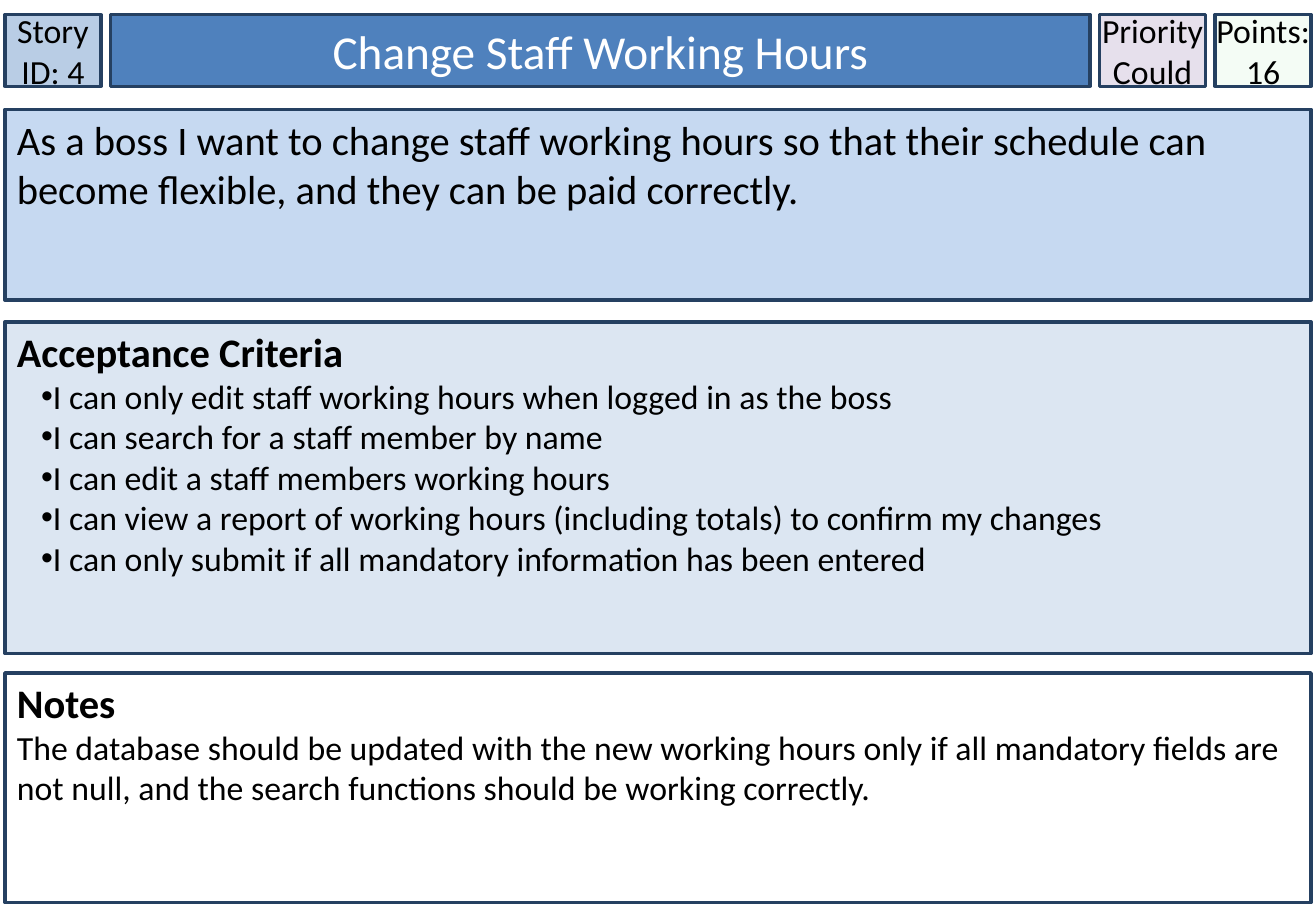
from dataclasses import dataclass
from itertools import accumulate

from lxml.etree import SubElement
from pptx import Presentation
from pptx.dml.color import RGBColor
from pptx.enum.shapes import MSO_SHAPE
from pptx.enum.text import MSO_ANCHOR, MSO_AUTO_SIZE, PP_ALIGN
from pptx.oxml.ns import qn
from pptx.util import Inches, Pt

SLIDE_WIDTH, SLIDE_HEIGHT = 10.83, 7.5
MARGIN, COLUMN_GAP = 0.04, 0.08
FULL_WIDTH = SLIDE_WIDTH - 2 * MARGIN
FONT = "Calibri"
COLORS = {
    "border": "254061", "ink": "000000", "title_ink": "FFFFFF",
    "story_id": "B9CDE5", "title": "4F81BD", "priority": "E6E0EC",
    "points": "CCF0CD", "story": "C6D9F1", "criteria": "DCE6F2",
    "notes": "FFFFFF",
}

ID_WIDTH, PRIORITY_WIDTH, POINTS_WIDTH = 0.79, 0.87, 0.79
TITLE_WIDTH = FULL_WIDTH - ID_WIDTH - PRIORITY_WIDTH - POINTS_WIDTH - 3 * COLUMN_GAP
HEADER_WIDTHS = [ID_WIDTH, TITLE_WIDTH, PRIORITY_WIDTH, POINTS_WIDTH]
HEADER_LEFTS = list(accumulate(
    HEADER_WIDTHS[:-1], lambda left, width: left + width + COLUMN_GAP, initial=MARGIN))
HEADER_CELLS = list(zip(HEADER_LEFTS, HEADER_WIDTHS))
FULL_CELL = (MARGIN, FULL_WIDTH)

HEADER_ROW = (0.12, 0.59)
STORY_ROW = (0.9, 1.57)
CRITERIA_ROW = (2.65, 2.73)
NOTES_ROW = (5.54, 1.89)


@dataclass
class Line:
    text: str
    size: int = 20
    bold: bool = False
    bullet: bool = False


@dataclass
class Panel:
    color: str
    column: tuple[float, float]
    row: tuple[float, float]
    lines: list[Line]
    header: bool = False
    side_inset: float = 0.1
    top_inset: float = 0.05
    ink: str = "ink"
    wrap: bool = True
    opacity: int = 100


def rgb(name: str) -> RGBColor:
    return RGBColor.from_string(COLORS[name])


def add_bullet(paragraph) -> None:
    properties = paragraph._p.get_or_add_pPr()
    properties.set("marL", "0")
    properties.set("indent", str(Inches(0.2)))
    SubElement(properties, qn("a:buFont"), typeface="Arial")
    SubElement(properties, qn("a:buChar"), char="•")


def write_lines(frame, panel: Panel) -> None:
    frame.text = "\n".join(line.text for line in panel.lines)
    for paragraph, line in zip(frame.paragraphs, panel.lines):
        paragraph.alignment = PP_ALIGN.CENTER if panel.header else PP_ALIGN.LEFT
        if line.bullet:
            add_bullet(paragraph)
        for run in paragraph.runs:
            run.font.name = FONT
            run.font.size = Pt(line.size)
            run.font.bold = line.bold
            run.font.color.rgb = rgb(panel.ink)


def format_panel(shape, panel: Panel) -> None:
    shape.left, shape.width = map(Inches, panel.column)
    shape.top, shape.height = map(Inches, panel.row)
    shape.shadow.inherit = False
    shape.fill.solid()
    shape.fill.fore_color.rgb = rgb(panel.color)
    if panel.opacity < 100:
        fill_color = shape._element.spPr.find(qn("a:solidFill"))[0]
        SubElement(fill_color, qn("a:alpha"), val=str(panel.opacity * 1000))
    shape.line.color.rgb = rgb("border")
    shape.line.width = Pt(2)
    frame = shape.text_frame
    frame.auto_size = MSO_AUTO_SIZE.NONE
    frame.word_wrap = panel.wrap
    frame.vertical_anchor = MSO_ANCHOR.MIDDLE if panel.header else MSO_ANCHOR.TOP
    frame.margin_left = frame.margin_right = Inches(panel.side_inset)
    frame.margin_top, frame.margin_bottom = Inches(panel.top_inset), Inches(0.05)
    write_lines(frame, panel)


ID_CELL, TITLE_CELL, PRIORITY_CELL, POINTS_CELL = HEADER_CELLS
CRITERIA = [
    "I can only edit staff working hours when logged in as the boss",
    "I can search for a staff member by name",
    "I can edit a staff members working hours",
    "I can view a report of working hours (including totals) to confirm my changes",
    "I can only submit if all mandatory information has been entered",
]
TITLE = Panel("title", TITLE_CELL, HEADER_ROW, [Line("Change Staff Working Hours", 28)],
              header=True, ink="title_ink")
PANELS = [
    Panel("story_id", ID_CELL, HEADER_ROW, [Line("Story ID: 4")],
          header=True, side_inset=0),
    Panel("story", FULL_CELL, STORY_ROW, [Line(
        "As a boss I want to change staff working hours so that their schedule "
        "can become flexible, and they can be paid correctly.", 24)]),
    Panel("points", POINTS_CELL, HEADER_ROW, [Line("Points:"), Line("16")],
          header=True, side_inset=0, opacity=20),
    Panel("priority", PRIORITY_CELL, HEADER_ROW, [Line("Priority"), Line("Could")],
          header=True, side_inset=0, wrap=False),
    Panel("criteria", FULL_CELL, CRITERIA_ROW,
          [Line("Acceptance Criteria", 24, bold=True)]
          + [Line(criterion, bullet=True) for criterion in CRITERIA],
          top_inset=0.04),
    Panel("notes", FULL_CELL, NOTES_ROW, [
        Line("Notes", 24, bold=True),
        Line("The database should be updated with the new working hours only if all "
             "mandatory fields are not null, and the search functions should be "
             "working correctly.")],
          top_inset=0.04),
]

deck = Presentation()
deck.slide_width, deck.slide_height = Inches(SLIDE_WIDTH), Inches(SLIDE_HEIGHT)
story_card = deck.slides.add_slide(deck.slide_layouts[5])
format_panel(story_card.shapes.title, TITLE)
for panel in PANELS:
    format_panel(story_card.shapes.add_shape(MSO_SHAPE.RECTANGLE, 0, 0, 0, 0), panel)
deck.save("out.pptx")
